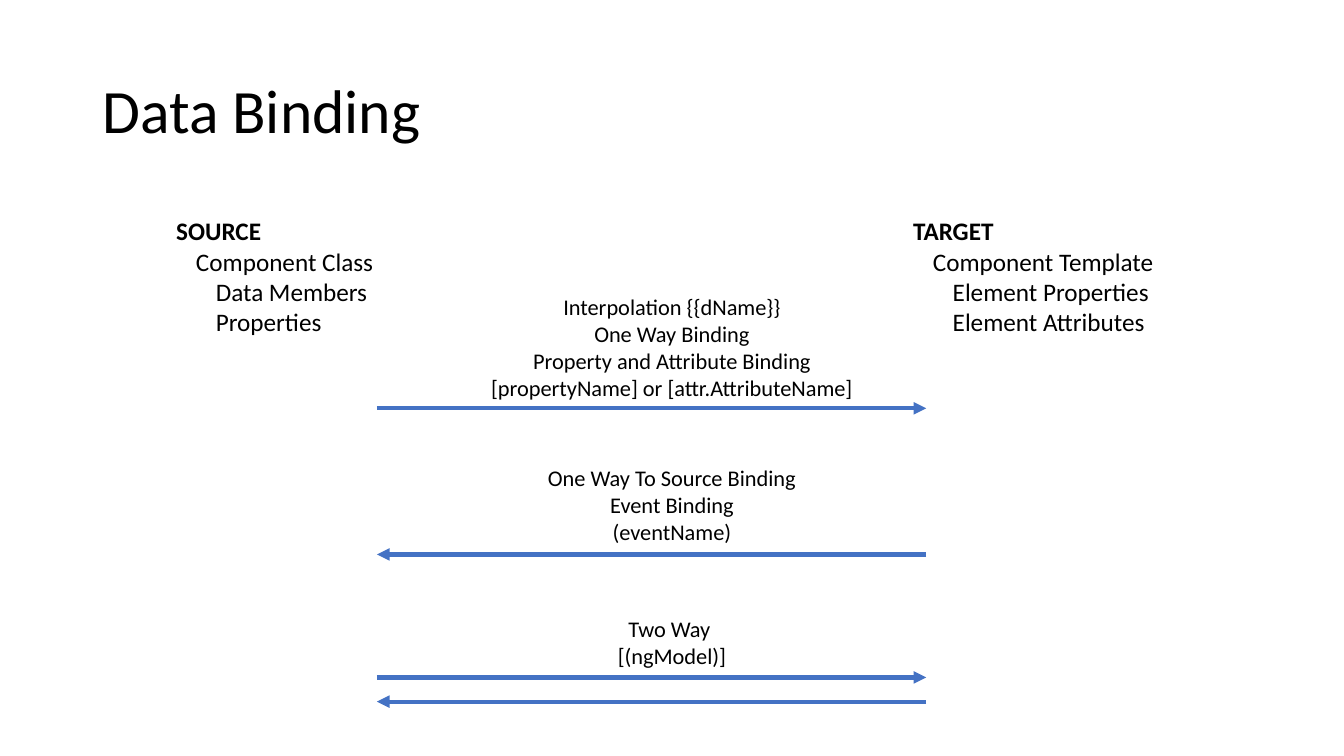
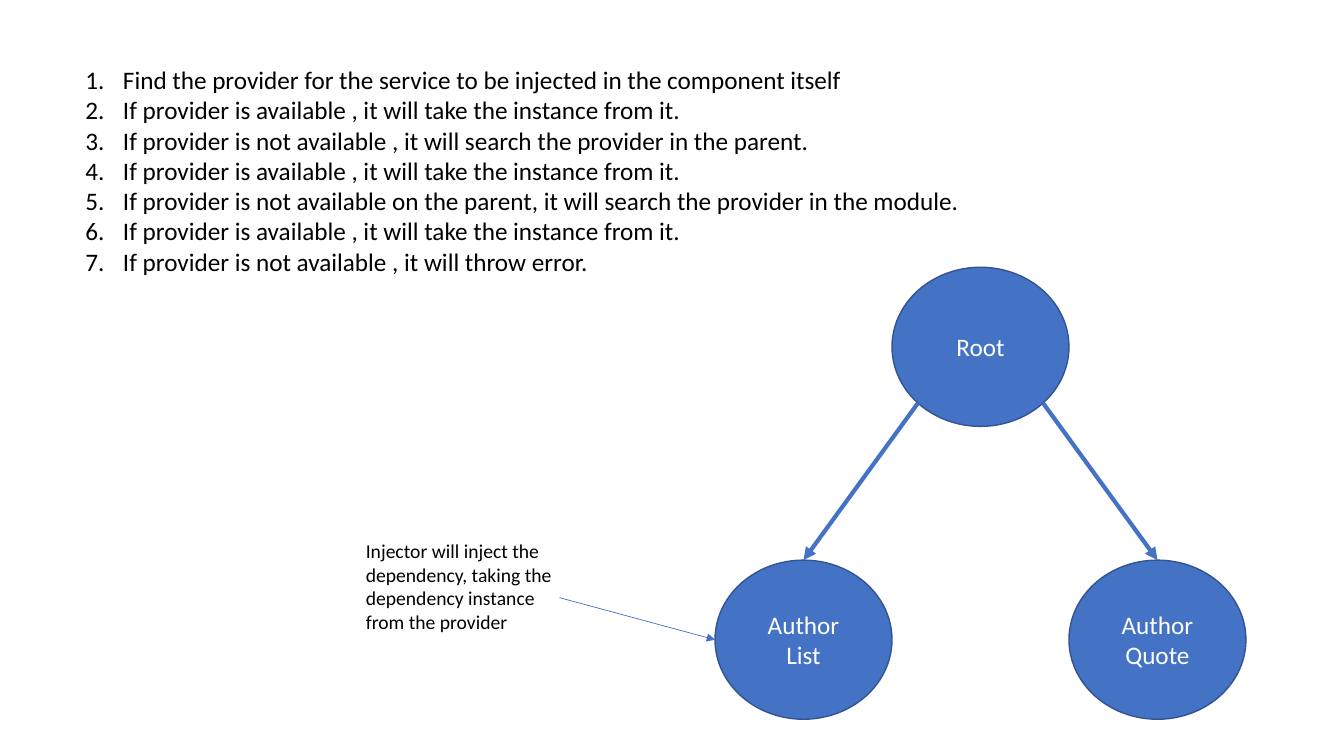
import math

import lxml.etree
import pptx
import pptx.dml.color
import pptx.enum.shapes
import pptx.enum.text
import pptx.oxml.ns
import pptx.util

Cm, Pt = pptx.util.Cm, pptx.util.Pt
RGBColor = pptx.dml.color.RGBColor
ALIGN = pptx.enum.text.PP_ALIGN
ANCHOR = pptx.enum.text.MSO_ANCHOR

# Shared style
FONT = "Calibri"
BLACK = RGBColor(0x00, 0x00, 0x00)
WHITE = RGBColor(0xFF, 0xFF, 0xFF)
BLUE = RGBColor(0x44, 0x72, 0xC4)
DARK_BLUE = RGBColor(0x32, 0x54, 0x91)
SLIDE_W, SLIDE_H = 33.87, 19.05

# Content: data binding (lengths in cm)
TITLE = "Data Binding"
SIDES = [  # left edge, heading, (indent level, line)
    (4.19, "SOURCE",
     [(1, "Component Class"), (2, "Data Members"), (2, "Properties")]),
    (22.76, "TARGET",
     [(1, "Component Template"), (2, "Element Properties"), (2, "Element Attributes")]),
]
SIDE_TOP, SIDE_W, SIDE_H, LEVEL_INDENT = 5.31, 7.5, 3.33, 0.5
SOURCE_X, TARGET_X = 9.5, 23.34
BINDINGS = [  # label top, label lines, arrows (height, points to target)
    (7.26, ["Interpolation {{dName}}", "One Way Binding",
            "Property and Attribute Binding",
            "[propertyName] or [attr.AttributeName]"], [(10.29, True)]),
    (11.58, ["One Way To Source Binding", "Event Binding", "(eventName)"],
     [(13.97, False)]),
    (15.37, ["Two Way ", "[(ngModel)]"], [(17.07, True), (17.68, False)]),
]
LABEL_W, LABEL_LINE_H = 9.78, 0.68

# Content: dependency injection
STEPS = [
    "Find the provider for the service to be injected in the component itself",
    "If provider is available , it will take the instance from it.",
    "If provider is not available , it will search the provider in the parent.",
    "If provider is available , it will take the instance from it.",
    "If provider is not available on the parent, it will search the provider in the module.",
    "If provider is available , it will take the instance from it.",
    "If provider is not available , it will throw error.",
]
STEP_INDENT = 0.95
ROOT = "Root"
CHILDREN = [(-1, "Author List"), (1, "Author Quote")]
NODE_W, NODE_H = 4.46, 4.01
ROOT_X, ROOT_Y, CHILD_Y = 24.71, 8.74, 16.12  # node centres
INJECTOR_NOTE = ("Injector will inject the dependency, taking the dependency "
                 "instance from the provider")
NOTE_ARROW_START = (14.1, 15.06)


def style_text(frame, size, color=BLACK, align=ALIGN.LEFT):
    for paragraph in frame.paragraphs:
        paragraph.alignment = align
        for run in paragraph.runs:
            run.font.name = FONT
            run.font.size = Pt(size)
            run.font.color.rgb = color


def add_text(slide, box, lines, size, align=ALIGN.LEFT, wrap=True):
    frame = slide.shapes.add_textbox(*map(Cm, box)).text_frame
    frame.word_wrap = wrap
    frame.text = "\n".join(lines)
    style_text(frame, size, align=align)
    return frame


def add_arrow(slide, start, end, width=3):
    arrow = slide.shapes.add_connector(
        pptx.enum.shapes.MSO_CONNECTOR.STRAIGHT, *map(Cm, start + end))
    arrow.line.color.rgb = BLUE
    arrow.line.width = Pt(width)
    qn = pptx.oxml.ns.qn
    outline = arrow.line._get_or_add_ln()
    lxml.etree.SubElement(outline, qn("a:tailEnd"), type="triangle")
    lxml.etree.SubElement(arrow._element.spPr, qn("a:effectLst"))


def add_node(slide, center_x, center_y, label):
    node = slide.shapes.add_shape(
        pptx.enum.shapes.MSO_SHAPE.OVAL, Cm(center_x - NODE_W / 2),
        Cm(center_y - NODE_H / 2), Cm(NODE_W), Cm(NODE_H))
    node.shadow.inherit = False
    node.fill.solid()
    node.fill.fore_color.rgb = BLUE
    node.line.color.rgb = DARK_BLUE
    node.line.width = Pt(1)
    node.text_frame.text = label
    node.text_frame.word_wrap = True
    node.text_frame.vertical_anchor = ANCHOR.MIDDLE
    style_text(node.text_frame, 18, WHITE, ALIGN.CENTER)


def set_indent(paragraph, left, first=0.0):
    properties = paragraph._p.get_or_add_pPr()
    properties.set("marL", str(Cm(left)))
    properties.set("indent", str(Cm(first)))
    return properties


def build_data_binding(slide):
    title = add_text(slide, (2.33, 1.02, 29.21, 3.68), [TITLE], 44)
    title.vertical_anchor = ANCHOR.MIDDLE
    title.paragraphs[0].line_spacing = 0.9

    # Source and target columns
    for left, heading, members in SIDES:
        lines = [heading] + [line for _, line in members]
        side = add_text(slide, (left, SIDE_TOP, SIDE_W, SIDE_H), lines, 18)
        side.paragraphs[0].runs[0].font.bold = True
        for paragraph, (level, _) in zip(side.paragraphs[1:], members):
            set_indent(paragraph, level * LEVEL_INDENT)

    # Bindings between them
    for top, lines, arrows in BINDINGS:
        box = ((SLIDE_W - LABEL_W) / 2, top, LABEL_W, LABEL_LINE_H * len(lines) + 0.25)
        add_text(slide, box, lines, 16, ALIGN.CENTER, wrap=False)
        for y, to_target in arrows:
            ends = [(SOURCE_X, y), (TARGET_X, y)]
            add_arrow(slide, *(ends if to_target else ends[::-1]))


def build_injection(slide):
    # Component tree
    add_node(slide, ROOT_X, ROOT_Y, ROOT)
    diagonal = math.sqrt(0.5)
    for side, label in CHILDREN:
        child_x = ROOT_X + side * NODE_W
        add_node(slide, child_x, CHILD_Y, label)
        root_edge = (ROOT_X + side * diagonal * NODE_W / 2,
                     ROOT_Y + diagonal * NODE_H / 2)
        add_arrow(slide, root_edge, (child_x, CHILD_Y - NODE_H / 2))

    # Injector note, pointing at the left child
    add_text(slide, (8.97, 13.46, 5.84, 2.64), [INJECTOR_NOTE], 14)
    add_arrow(slide, NOTE_ARROW_START, (ROOT_X - 1.5 * NODE_W, CHILD_Y), 0.5)

    # Numbered lookup steps
    steps = add_text(slide, (1.9, 1.5, 24, 7.95), STEPS, 18)
    for paragraph in steps.paragraphs:
        properties = set_indent(paragraph, STEP_INDENT, -STEP_INDENT)
        lxml.etree.SubElement(
            properties, pptx.oxml.ns.qn("a:buAutoNum"), type="arabicPeriod")


def main():
    deck = pptx.Presentation()
    deck.slide_width, deck.slide_height = Cm(SLIDE_W), Cm(SLIDE_H)
    blank = deck.slide_layouts[6]
    for build in (build_data_binding, build_injection):
        build(deck.slides.add_slide(blank))
    deck.save("out.pptx")


if __name__ == "__main__":
    main()
